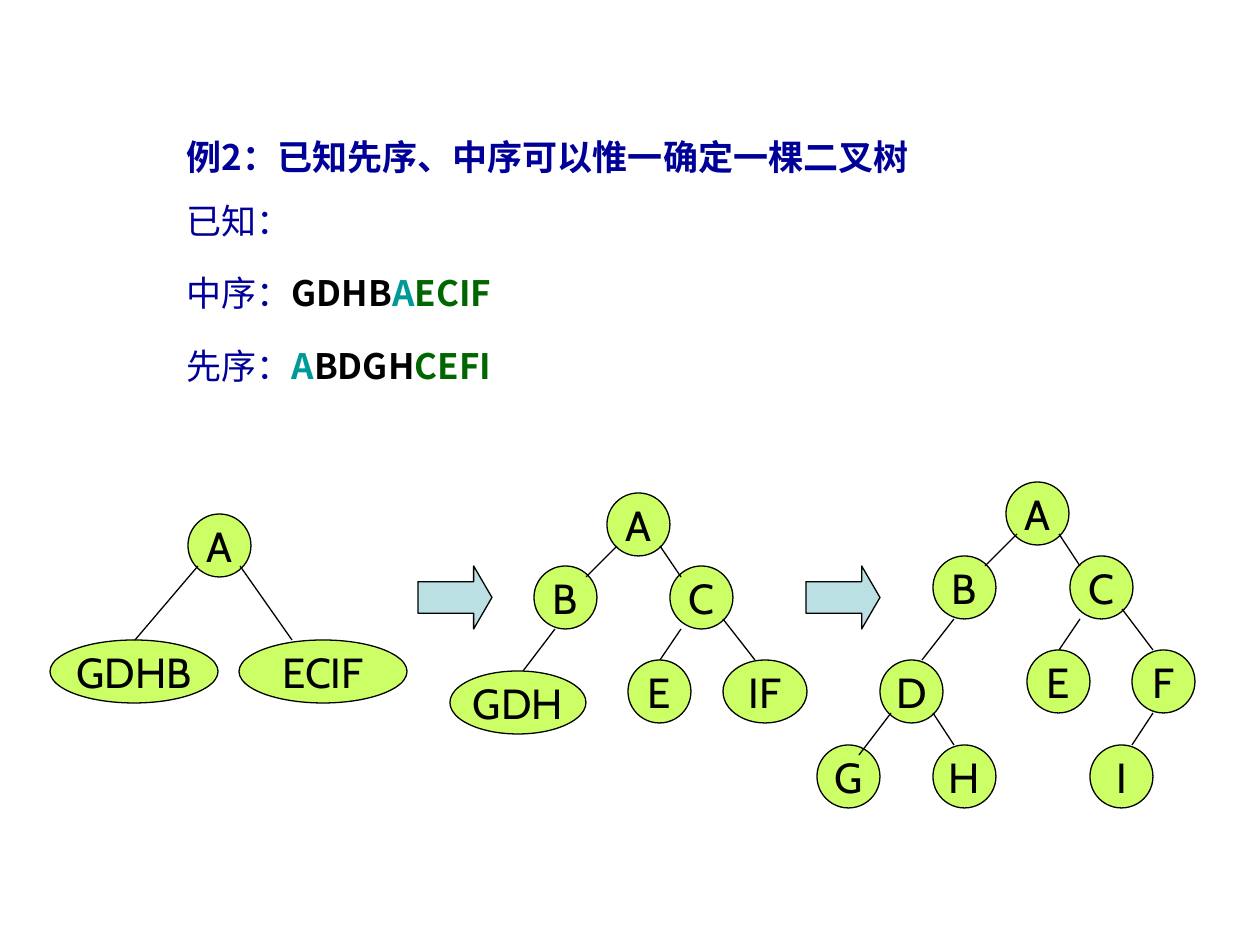
from pptx import Presentation
from pptx import util as u
from pptx.dml.color import RGBColor
from pptx.enum import shapes, text
from pptx.oxml.ns import qn
from lxml import etree

NAVY = RGBColor(0x00, 0x00, 0x99)
TEAL = RGBColor(0x00, 0x99, 0x99)
GREEN = RGBColor(0x00, 0x66, 0x00)
BLACK = RGBColor(0x00, 0x00, 0x00)
LIME = RGBColor(0xCC, 0xFF, 0x66)
PALE_BLUE = RGBColor(0xBB, 0xE0, 0xE3)
TEXT_FONT, NODE_FONT = "Noto Sans CJK SC", "Cabin"

TITLE = "例2：已知先序、中序可以惟一确定一棵二叉树"
# Each line: spans of (text, colour, bold)
GIVEN = [
    [("已知：", NAVY, False)],
    [("中序：", NAVY, False), ("GDHB", BLACK, True), ("A", TEAL, True), ("ECIF", GREEN, True)],
    [("先序：", NAVY, False), ("A", TEAL, True), ("BDGH", BLACK, True), ("CEFI", GREEN, True)],
]

NODE = 63  # height of every node, and width of a single-letter one
WIDTHS = {"GDHB": 168, "ECIF": 168, "GDH": 136, "IF": 84}
# Each tree: nodes as (label, left, top), edges as (x1, y1, x2, y2)
TREES = [
    {
        "nodes": [("A", 188, 514), ("GDHB", 50, 640), ("ECIF", 239, 640)],
        "edges": [(198, 566, 135, 640), (240, 566, 292, 640)],
    },
    {
        "nodes": [("A", 607, 493), ("B", 534, 566), ("C", 670, 566),
                  ("GDH", 450, 671), ("E", 628, 660), ("IF", 723, 660)],
        "edges": [(617, 546, 586, 577), (660, 546, 681, 577), (555, 629, 523, 671),
                  (681, 629, 660, 660), (723, 619, 755, 660)],
    },
    {
        "nodes": [("A", 1006, 482), ("B", 933, 556), ("C", 1070, 556),
                  ("D", 880, 660), ("E", 1027, 650), ("F", 1132, 650),
                  ("G", 817, 745), ("H", 933, 745), ("I", 1090, 745)],
        "edges": [(1017, 534, 985, 566), (1059, 534, 1080, 566), (954, 619, 922, 660),
                  (1080, 619, 1059, 650), (1122, 609, 1153, 650), (891, 713, 859, 755),
                  (933, 713, 954, 745), (1153, 713, 1132, 745)],
    },
]
ARROWS = [(418, 566), (806, 566)]


def px(*lengths):
    return [u.Emu(round(length * 914400 / 126)) for length in lengths]


def add_span(para, words, colour, bold):
    span = para.add_run()
    span.text = words
    font = span.font
    font.size, font.name, font.bold = u.Pt(20), TEXT_FONT, bold
    font.color.rgb = colour
    east_asian = etree.SubElement(span._r.get_or_add_rPr(), qn("a:ea"))
    east_asian.set("typeface", TEXT_FONT)


def add_outlined(page, kind, box, fill):
    shape = page.shapes.add_shape(kind, *px(*box))
    shape.shadow.inherit = False
    shape.fill.solid()
    shape.fill.fore_color.rgb = fill
    shape.line.color.rgb = BLACK
    shape.line.width = u.Pt(0.75)
    return shape


def add_node(page, label, left, top):
    box = (left, top, WIDTHS.get(label, NODE), NODE)
    node = add_outlined(page, shapes.MSO_SHAPE.OVAL, box, LIME)
    frame = node.text_frame
    frame.text = label
    frame.word_wrap = False
    frame.vertical_anchor = text.MSO_ANCHOR.MIDDLE
    para = frame.paragraphs[0]
    para.alignment = text.PP_ALIGN.CENTER
    font = para.runs[0].font
    font.size, font.name = u.Pt(24), NODE_FONT
    font.color.rgb = BLACK


def add_edge(page, ends):
    edge = page.shapes.add_connector(shapes.MSO_CONNECTOR.STRAIGHT, *px(*ends))
    edge.line.color.rgb = BLACK
    edge.line.width = u.Pt(0.75)
    etree.SubElement(edge._element.spPr, qn("a:effectLst"))


def add_title(page):
    title = page.shapes.title
    title.left, title.top, title.width, title.height = px(174, 117, 1034, 67)
    frame = title.text_frame
    frame.word_wrap = True
    frame.auto_size = text.MSO_AUTO_SIZE.SHAPE_TO_FIT_TEXT
    frame.vertical_anchor = text.MSO_ANCHOR.MIDDLE
    para = frame.paragraphs[0]
    para.alignment = text.PP_ALIGN.LEFT
    para.line_spacing = 1.3
    add_span(para, TITLE, NAVY, True)


def add_given(page):
    frame = page.shapes.add_textbox(*px(174, 185, 784, 220)).text_frame
    frame.word_wrap = True
    for index, spans in enumerate(GIVEN):
        para = frame.add_paragraph() if index else frame.paragraphs[0]
        para.line_spacing = 1.2
        if index:
            para.space_before = u.Pt(12.5)
        for span in spans:
            add_span(para, *span)


def main():
    deck = Presentation()
    deck.slide_width, deck.slide_height = u.Inches(10), u.Inches(7.5)
    page = deck.slides.add_slide(deck.slide_layouts.get_by_name("Title Only"))
    add_title(page)
    add_given(page)
    for tree in TREES:
        for node in tree["nodes"]:
            add_node(page, *node)
        for ends in tree["edges"]:
            add_edge(page, ends)
    for left, top in ARROWS:
        arrow = add_outlined(page, shapes.MSO_SHAPE.RIGHT_ARROW, (left, top, 74, 63), PALE_BLUE)
        arrow.adjustments[1] = 0.29
    deck.save("out.pptx")


if __name__ == "__main__":
    main()
